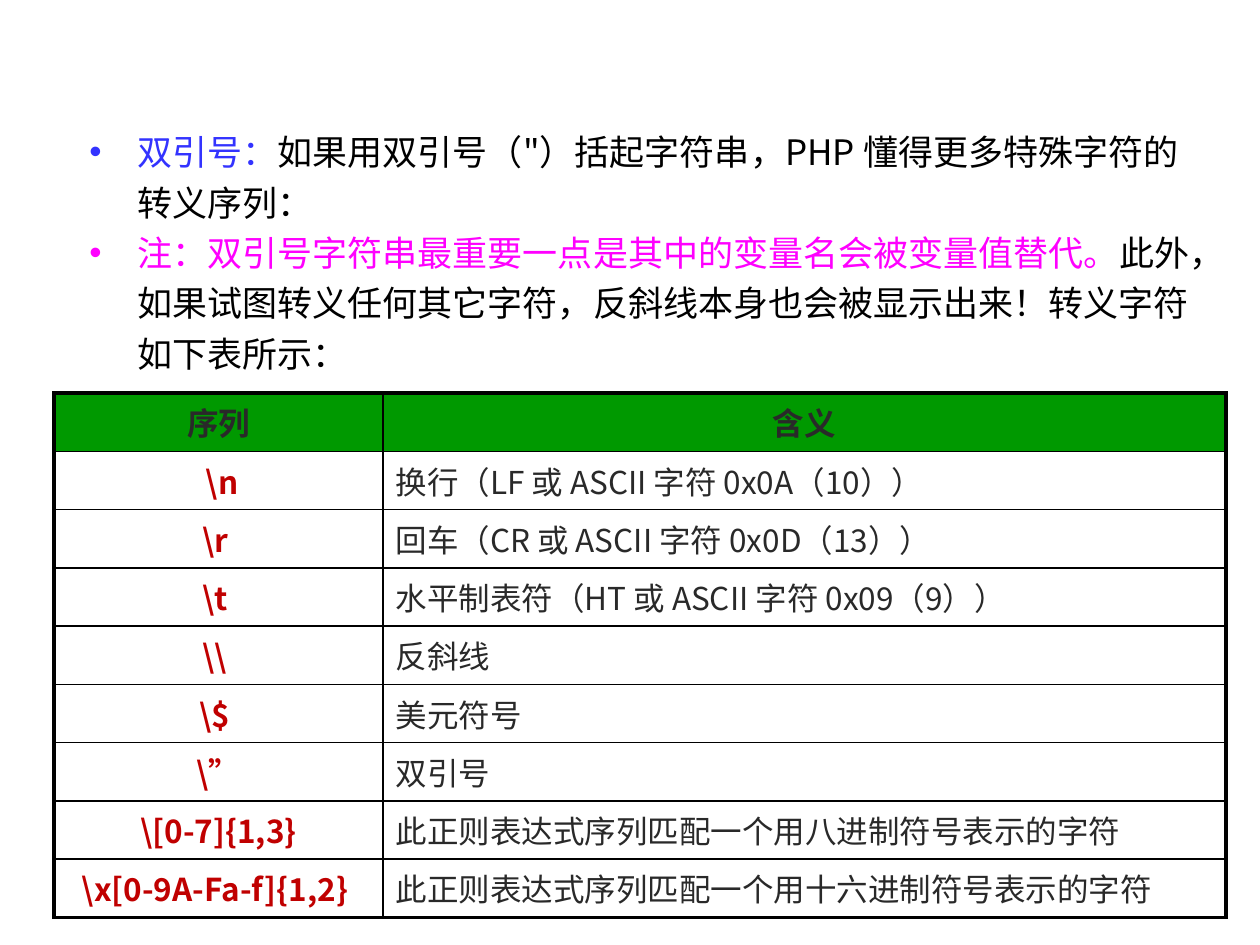
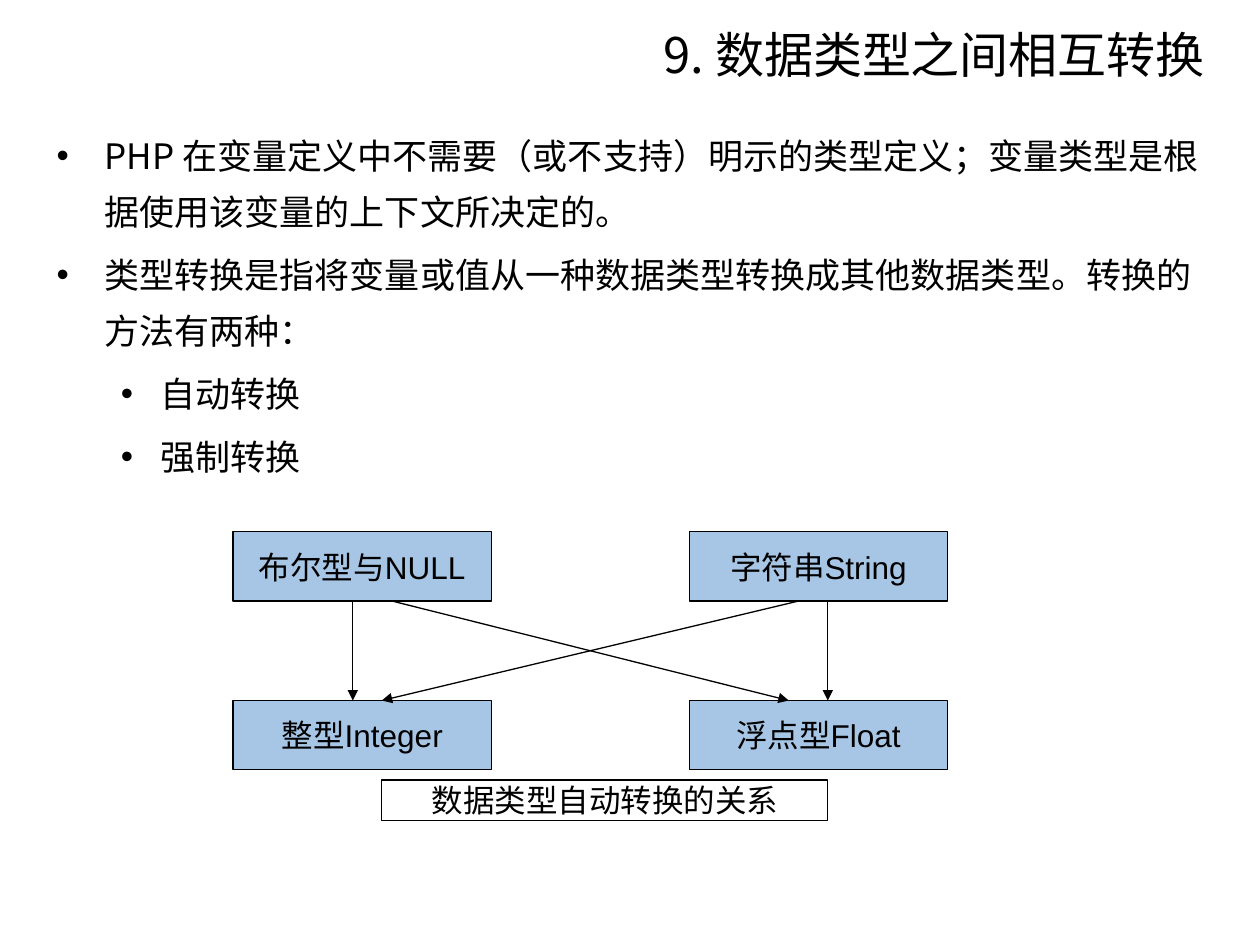
"""Build two slides on PHP string escapes and type conversion."""
from lxml.etree import SubElement
from pptx import Presentation
from pptx.dml.color import RGBColor
from pptx.enum.shapes import MSO_CONNECTOR as CONN, MSO_SHAPE as SHAPE
from pptx.enum.text import MSO_ANCHOR as ANCHOR, MSO_AUTO_SIZE as AUTO, PP_ALIGN as ALIGN
from pptx.oxml.ns import qn
from pptx.util import Inches, Pt

CJK, LATIN = "Noto Sans CJK SC", "Arial"
BLACK, WHITE, GREY, RED = "000000", "FFFFFF", "292929", "C00000"
BLUE, PINK, GREEN, BOX_FILL = "3333FF", "FF00FF", "009900", "A7C6E5"
INDENTS = [(0.38, -0.38), (0.82, -0.31)]

QUOTE_POINTS = [
    (0, [("双引号：", BLUE),
         ('如果用双引号（"）括起字符串，PHP 懂得更多特殊字符的转义序列：', BLACK)]),
    (0, [("注：双引号字符串最重要一点是其中的变量名会被变量值替代。", PINK),
         ("此外，如果试图转义任何其它字符，反斜线本身也会被显示出来！转义字符如下表所示：", BLACK)]),
]
ESCAPES = [
    ("序列", "含义"),
    (r" \n", "换行（LF 或 ASCII 字符 0x0A（10））"),
    (r"\r ", "回车（CR 或 ASCII 字符 0x0D（13））"),
    (r"\t ", "水平制表符（HT 或 ASCII 字符 0x09（9））"),
    (r"\\ ", "反斜线"),
    (r"\$ ", "美元符号"),
    (r"\”", "双引号"),
    (r"\[0-7]{1,3}", "此正则表达式序列匹配一个用八进制符号表示的字符"),
    (r"\x[0-9A-Fa-f]{1,2} ", "此正则表达式序列匹配一个用十六进制符号表示的字符"),
]
TABLE_LEFT, TABLE_TOP, COL_WIDTHS, ROW_HEIGHT = 0.43, 3.12, (2.61, 6.69), 0.46

CONVERSION_TITLE = "9. 数据类型之间相互转换"
CONVERSION_POINTS = [
    (0, [("PHP 在变量定义中不需要（或不支持）明示的类型定义；变量类型是根据使用该变量的上下文所决定的。", BLACK)]),
    (0, [("类型转换是指将变量或值从一种数据类型转换成其他数据类型。转换的方法有两种：", BLACK)]),
    (1, [("自动转换", BLACK)]),
    (1, [("强制转换", BLACK)]),
]
TYPE_GRID = [("布尔型与NULL", "字符串String"), ("整型Integer", "浮点型Float")]
CAPTION = "数据类型自动转换的关系"
BOX_LEFT, BOX_TOP, BOX_W, BOX_H = 1.85, 4.22, 2.05, 0.55
COL_STEP, ROW_STEP = 3.62, 1.34
ARROWS = [(2.8, 2.8), (6.57, 6.57), (3.11, 6.26), (6.34, 3.03)]


def rgb(color):
    return RGBColor.from_string(color)


def add_run(p, text, size, color=BLACK, bold=False, font=CJK):
    r = p.add_run()
    r.text = text
    r.font.size, r.font.bold, r.font.name = Pt(size), bold, font
    r.font.color.rgb = rgb(color)
    SubElement(r.font._element, qn("a:ea"), typeface=CJK)


def place(sp, left, top, width, height):
    sp.left, sp.top, sp.width, sp.height = map(Inches, (left, top, width, height))


def fill_body(sp, box, points, spacing, before):
    place(sp, *box)
    tf = sp.text_frame
    tf.auto_size = AUTO.NONE
    for i, (level, runs) in enumerate(points):
        p = tf.add_paragraph() if i else tf.paragraphs[0]
        p.level, p.line_spacing, p.space_before = level, spacing, Pt(before)
        pPr = p._p.get_or_add_pPr()
        for name, value in zip(("marL", "indent"), INDENTS[level]):
            pPr.set(name, str(Inches(value)))
        SubElement(pPr, qn("a:buFont"), typeface=LATIN)
        SubElement(pPr, qn("a:buChar"), char="•")
        for text, color in runs:
            add_run(p, text, 20, color)


def add_borders(cell, outer):
    tcPr = cell._tc.get_or_add_tcPr()
    for side in "LRTB":
        ln = SubElement(tcPr, qn(f"a:ln{side}"), w=str(Pt(2.25 if side in outer else 1)))
        SubElement(SubElement(ln, qn("a:solidFill")), qn("a:srgbClr"), val=BLACK)


def add_escape_table(s):
    rows, cols = len(ESCAPES), len(COL_WIDTHS)
    box = TABLE_LEFT, TABLE_TOP, sum(COL_WIDTHS), rows * ROW_HEIGHT
    table = s.shapes.add_table(rows, cols, *map(Inches, box)).table
    table.first_row = table.horz_banding = False
    for col, width in zip(table.columns, COL_WIDTHS):
        col.width = Inches(width)
    for i, texts in enumerate(ESCAPES):
        table.rows[i].height = Inches(ROW_HEIGHT)
        for j, text in enumerate(texts):
            cell, header = table.cell(i, j), i == 0
            outer = "LR"[j] + ("T" if header else "B" if i == rows - 1 else "")
            add_borders(cell, outer)
            cell.fill.solid()
            cell.fill.fore_color.rgb = rgb(GREEN if header else WHITE)
            p = cell.text_frame.paragraphs[0]
            p.alignment = ALIGN.CENTER if header or j == 0 else ALIGN.LEFT
            add_run(p, text, 18, GREY if header or j else RED, header or j == 0)


def add_box(s, text, box, fill):
    sp = s.shapes.add_shape(SHAPE.RECTANGLE, *map(Inches, box))
    sp.shadow.inherit = False
    sp.fill.solid()
    sp.fill.fore_color.rgb = rgb(fill)
    sp.line.color.rgb, sp.line.width = rgb(BLACK), Pt(0.75)
    tf = sp.text_frame
    tf.word_wrap, tf.vertical_anchor = False, ANCHOR.MIDDLE
    tf.paragraphs[0].alignment = ALIGN.CENTER
    add_run(tf.paragraphs[0], text, 18, font=LATIN)


def add_arrow(s, x1, y1, x2, y2):
    line = s.shapes.add_connector(CONN.STRAIGHT, *map(Inches, (x1, y1, x2, y2)))
    line.line.color.rgb, line.line.width = rgb(BLACK), Pt(0.75)
    SubElement(line.line._get_or_add_ln(), qn("a:tailEnd"), type="triangle")
    SubElement(line._element.spPr, qn("a:effectLst"))


def build_escapes(prs):
    s = prs.slides.add_slide(prs.slide_layouts[1])
    title = s.shapes.title._element
    title.getparent().remove(title)
    fill_body(s.placeholders[1], (0.61, 0.92, 8.95, 2.28), QUOTE_POINTS, 1.2, 0)
    add_escape_table(s)


def build_conversion(prs):
    s = prs.slides.add_slide(prs.slide_layouts[1])
    title = s.shapes.title
    place(title, -0.28, 0.08, 9.94, 0.69)
    tf = title.text_frame
    tf.auto_size, tf.vertical_anchor = AUTO.NONE, ANCHOR.MIDDLE
    tf.paragraphs[0].alignment = ALIGN.RIGHT
    add_run(tf.paragraphs[0], CONVERSION_TITLE, 28)
    fill_body(s.placeholders[1], (0.35, 0.91, 9.3, 5.5), CONVERSION_POINTS, Pt(32), 4)
    for i, names in enumerate(TYPE_GRID):
        for j, name in enumerate(names):
            box = BOX_LEFT + j * COL_STEP, BOX_TOP + i * ROW_STEP, BOX_W, BOX_H
            add_box(s, name, box, BOX_FILL)
    add_box(s, CAPTION, (3.03, 6.19, 3.54, 0.32), WHITE)
    for start, end in ARROWS:
        add_arrow(s, start, BOX_TOP + BOX_H, end, BOX_TOP + ROW_STEP)


def main():
    prs = Presentation()
    prs.slide_width, prs.slide_height = Inches(10), Inches(7.5)
    build_escapes(prs)
    build_conversion(prs)
    prs.save("out.pptx")


if __name__ == "__main__":
    main()
